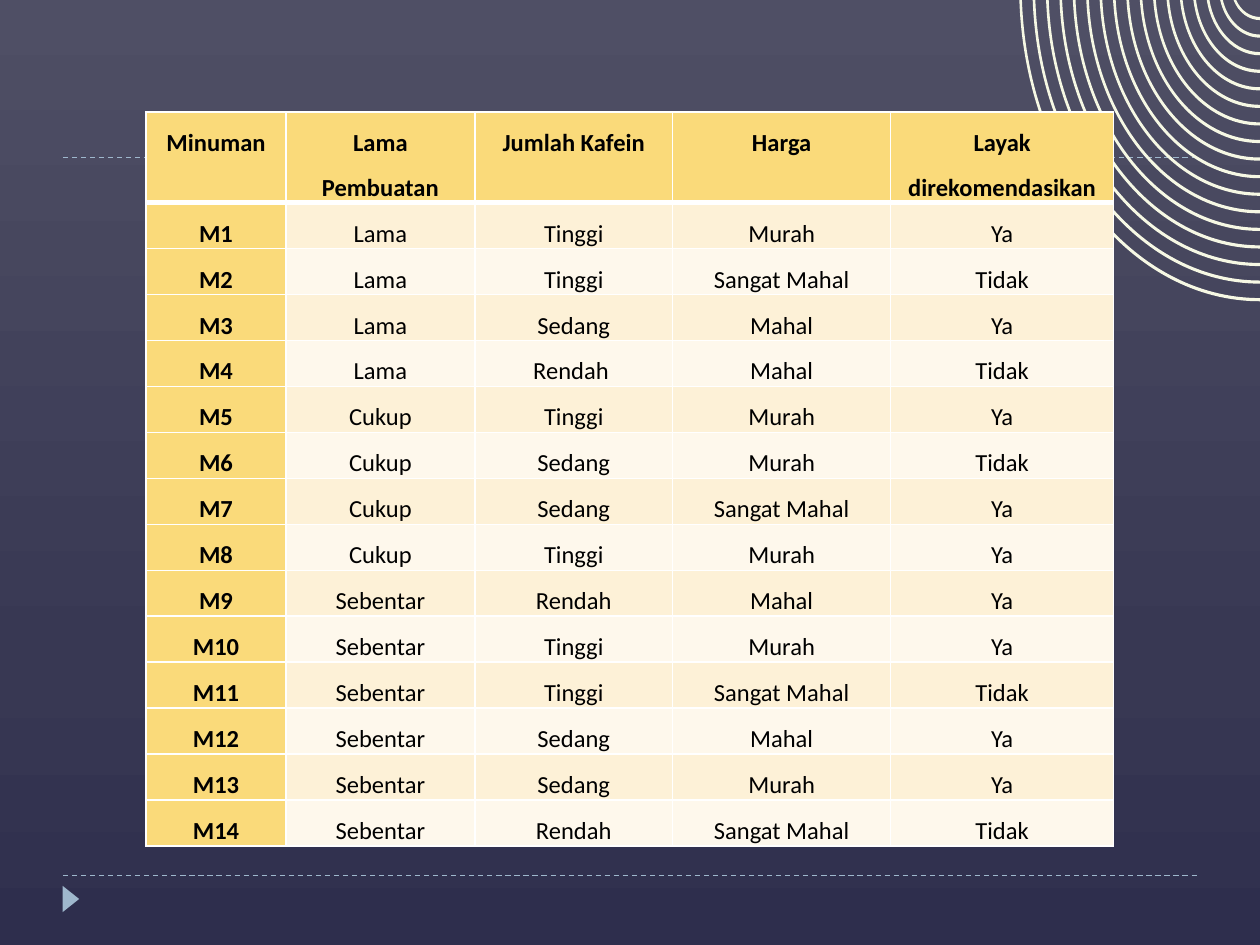
from copy import deepcopy
from math import asin, cos, pi, sin, sqrt, tan

from lxml.etree import SubElement
from pptx import Presentation
from pptx.dml.color import RGBColor
from pptx.enum.dml import MSO_LINE_DASH_STYLE as Dash
from pptx.enum.shapes import MSO_CONNECTOR as Connector, MSO_SHAPE as Shape
from pptx.enum.text import PP_ALIGN as Align
from pptx.oxml.ns import qn
from pptx.util import Pt

HEADER = ["Minuman", "Lama Pembuatan", "Jumlah Kafein", "Harga", "Layak direkomendasikan"]
DRINKS = [
    ("Lama", "Tinggi", "Murah", "Ya"),
    ("Lama", "Tinggi", "Sangat Mahal", "Tidak"),
    ("Lama", "Sedang", "Mahal", "Ya"),
    ("Lama", "Rendah ", "Mahal", "Tidak"),
    ("Cukup", "Tinggi", "Murah", "Ya"),
    ("Cukup", "Sedang", "Murah", "Tidak"),
    ("Cukup", "Sedang", "Sangat Mahal", "Ya"),
    ("Cukup", "Tinggi", "Murah", "Ya"),
    ("Sebentar", "Rendah", "Mahal", "Ya"),
    ("Sebentar", "Tinggi", "Murah", "Ya"),
    ("Sebentar", "Tinggi", "Sangat Mahal", "Tidak"),
    ("Sebentar", "Sedang", "Mahal", "Ya"),
    ("Sebentar", "Sedang", "Murah", "Ya"),
    ("Sebentar", "Rendah", "Sangat Mahal", "Tidak"),
]
ROWS = [HEADER] + [(f"M{number}", *drink) for number, drink in enumerate(DRINKS, 1)]

COLORS = {
    "accent": "9FB8CD", "rings": "F6F8E4", "border": "FFFFFF", "text": "000000",
    "heading": "FADA7A", "odd": "FDF1D7", "even": "FEF8EC",
}
GRADIENT = [(0, "2E2E4D"), (0.3, "383853"), (1, "4F4F65")]
PAGE_WIDTH, PAGE_HEIGHT = 720, 540
RULES = [500.4, 90]
RULE_LEFT, RULE_RIGHT = 36, 684
TABLE_LEFT, TABLE_TOP = 83.5, 64.1
COLUMN_WIDTHS = [79.9, 108, 113, 124.6, 127.4]
HEADER_HEIGHT, ROW_HEIGHT = 49, 25.5
MARGINS = {"margin_left": Pt(3.6), "margin_right": Pt(3.6), "margin_top": Pt(0.7), "margin_bottom": Pt(0)}
PARA_FORMAT = {"alignment": Align.CENTER, "line_spacing": 1.5}
FONT = {"name": "Calibri", "size": Pt(14)}
RING_COUNT = 17
RING_CENTER_Y = -8
RING_WIDTH, RING_WIDTH_STEP, RING_STROKE_X = 15.1, 7.65, 1.5
RING_DEPTH, RING_DEPTH_STEP, RING_STROKE_Y = 11.5, 10.04, 1.8


def color(name):
    return RGBColor.from_string(COLORS[name])


def set_all(target, values):
    for name, value in values.items():
        setattr(target, name, value)


def paint_background(page):
    fill = page.background.fill
    fill.gradient()
    fill.gradient_angle = 90
    stops = next(page.element.iter(qn("a:gsLst")))
    stops.append(deepcopy(stops[0]))
    for stop, (position, value) in zip(fill.gradient_stops, GRADIENT):
        stop.position = position
        stop.color.rgb = RGBColor.from_string(value)


def style_shape(shape, name):
    shape.shadow.inherit = False
    shape.fill.solid()
    shape.fill.fore_color.rgb = color(name)
    shape.line.fill.background()


def add_rule(page, y):
    rule = page.shapes.add_connector(Connector.STRAIGHT, Pt(RULE_LEFT), Pt(y), Pt(RULE_RIGHT), Pt(y))
    set_all(rule.line, {"width": Pt(0.75), "dash_style": Dash.DASH})
    rule.line.color.rgb = color("accent")
    SubElement(rule.element.spPr, qn("a:effectLst"))


def arc(width, depth):
    radius_y = depth - RING_CENTER_Y
    offset = -RING_CENTER_Y / radius_y
    radius_x = width / sqrt(1 - offset ** 2)
    start = asin(offset)
    pull = 4 / 3 * tan((pi / 2 - start) / 4)
    units = [
        (cos(start), sin(start)),
        (cos(start) - pull * sin(start), sin(start) + pull * cos(start)),
        (pull, 1),
        (0, 1),
    ]
    return [(Pt(PAGE_WIDTH - radius_x * x), Pt(RING_CENTER_Y + radius_y * y)) for x, y in units]


def curve_sides(shape):
    lines = list(shape.element.iter(qn("a:lnTo")))
    for first in range(0, len(lines), 7):
        for side in (lines[first:first + 3], lines[first + 4:first + 7]):
            curve = SubElement(side[0].getparent(), qn("a:cubicBezTo"))
            side[0].addprevious(curve)
            for line in side:
                curve.append(line[0])
                line.getparent().remove(line)


def add_rings(page):
    builder = None
    for ring in range(RING_COUNT):
        width = RING_WIDTH + RING_WIDTH_STEP * ring
        depth = RING_DEPTH + RING_DEPTH_STEP * ring
        inner = arc(width - RING_STROKE_X, depth - RING_STROKE_Y)
        first, *rest = arc(width, depth) + inner[::-1]
        if builder is None:
            builder = page.shapes.build_freeform(*first)
        else:
            builder.move_to(*first)
        builder.add_line_segments(rest, close=True)
    rings = builder.convert_to_shape()
    # the closing segment is a:close, so each ring holds seven line points
    curve_sides(rings)
    style_shape(rings, "rings")


def add_borders(cell, row):
    widths = {"L": 1, "R": 1, "T": 3 if row == 1 else 1, "B": 3 if row == 0 else 1}
    properties = cell._tc.get_or_add_tcPr()
    for side, width in widths.items():
        line = SubElement(properties, qn(f"a:ln{side}"), w=str(Pt(width)))
        SubElement(SubElement(line, qn("a:solidFill")), qn("a:srgbClr"), val=COLORS["border"])


def fill_cell(cell, text, row, column):
    heading = row == 0 or column == 0
    add_borders(cell, row)
    set_all(cell, MARGINS)
    cell.fill.solid()
    cell.fill.fore_color.rgb = color("heading" if heading else "odd" if row % 2 else "even")
    para = cell.text_frame.paragraphs[0]
    set_all(para, PARA_FORMAT)
    span = para.add_run()
    span.text = text
    set_all(span.font, {**FONT, "bold": heading})
    span.font.color.rgb = color("text")


def add_drink_table(page):
    heights = [HEADER_HEIGHT] + [ROW_HEIGHT] * len(DRINKS)
    table = page.shapes.add_table(
        len(ROWS), len(HEADER), Pt(TABLE_LEFT), Pt(TABLE_TOP),
        Pt(sum(COLUMN_WIDTHS)), Pt(sum(heights))).table
    set_all(table, {"horz_banding": False, "first_col": True})
    for column, width in zip(table.columns, COLUMN_WIDTHS):
        column.width = Pt(width)
    for row, (height, texts) in enumerate(zip(heights, ROWS)):
        table.rows[row].height = Pt(height)
        for column, text in enumerate(texts):
            fill_cell(table.cell(row, column), text, row, column)


def main():
    deck = Presentation()
    set_all(deck, {"slide_width": Pt(PAGE_WIDTH), "slide_height": Pt(PAGE_HEIGHT)})
    page = deck.slides.add_slide(deck.slide_layouts[6])
    paint_background(page)
    for y in RULES:
        add_rule(page, y)
    marker = page.shapes.add_shape(Shape.ISOSCELES_TRIANGLE, Pt(33), Pt(509), Pt(15), Pt(9.4))
    marker.rotation = 90
    style_shape(marker, "accent")
    add_rings(page)
    add_drink_table(page)
    deck.save("out.pptx")


if __name__ == "__main__":
    main()
